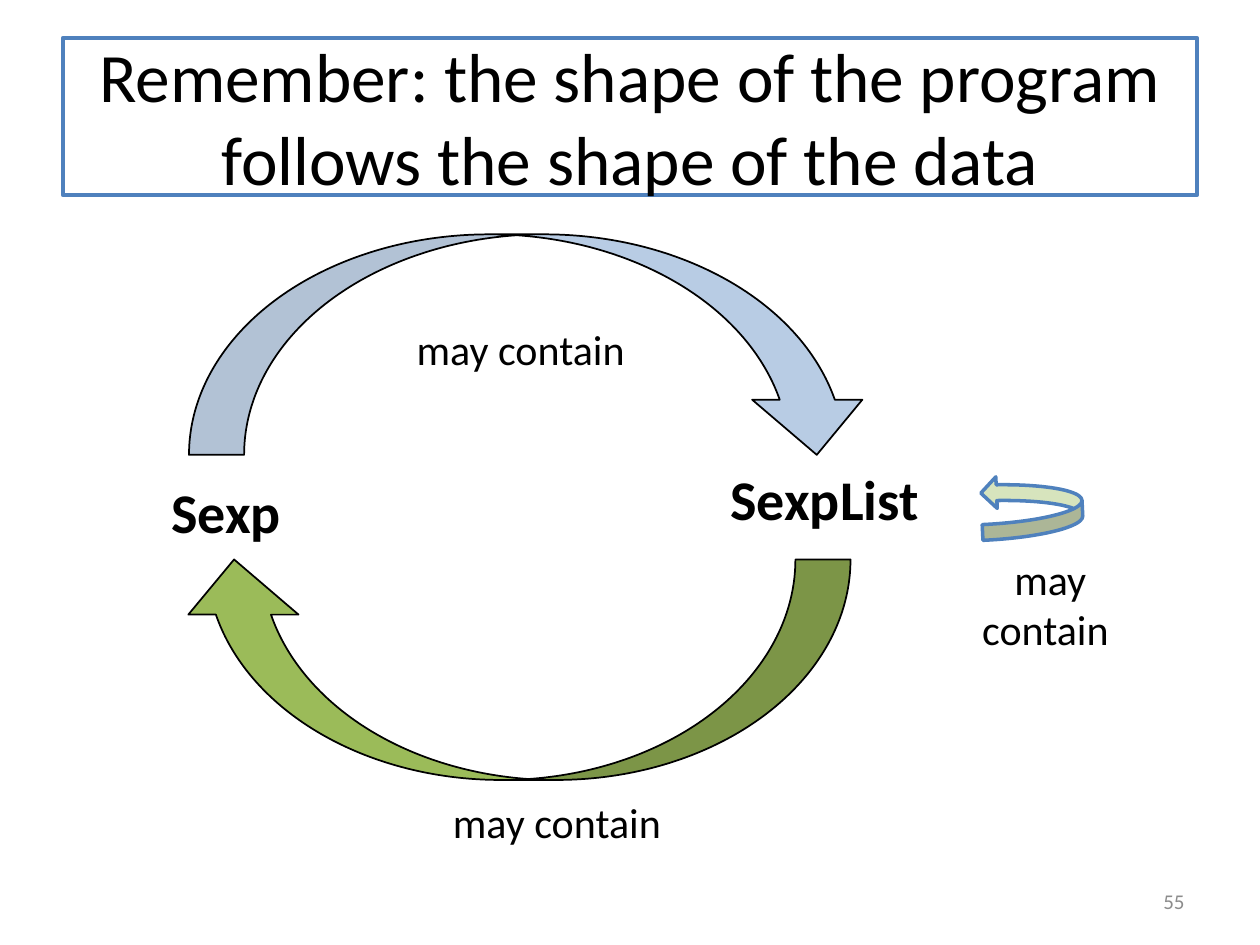
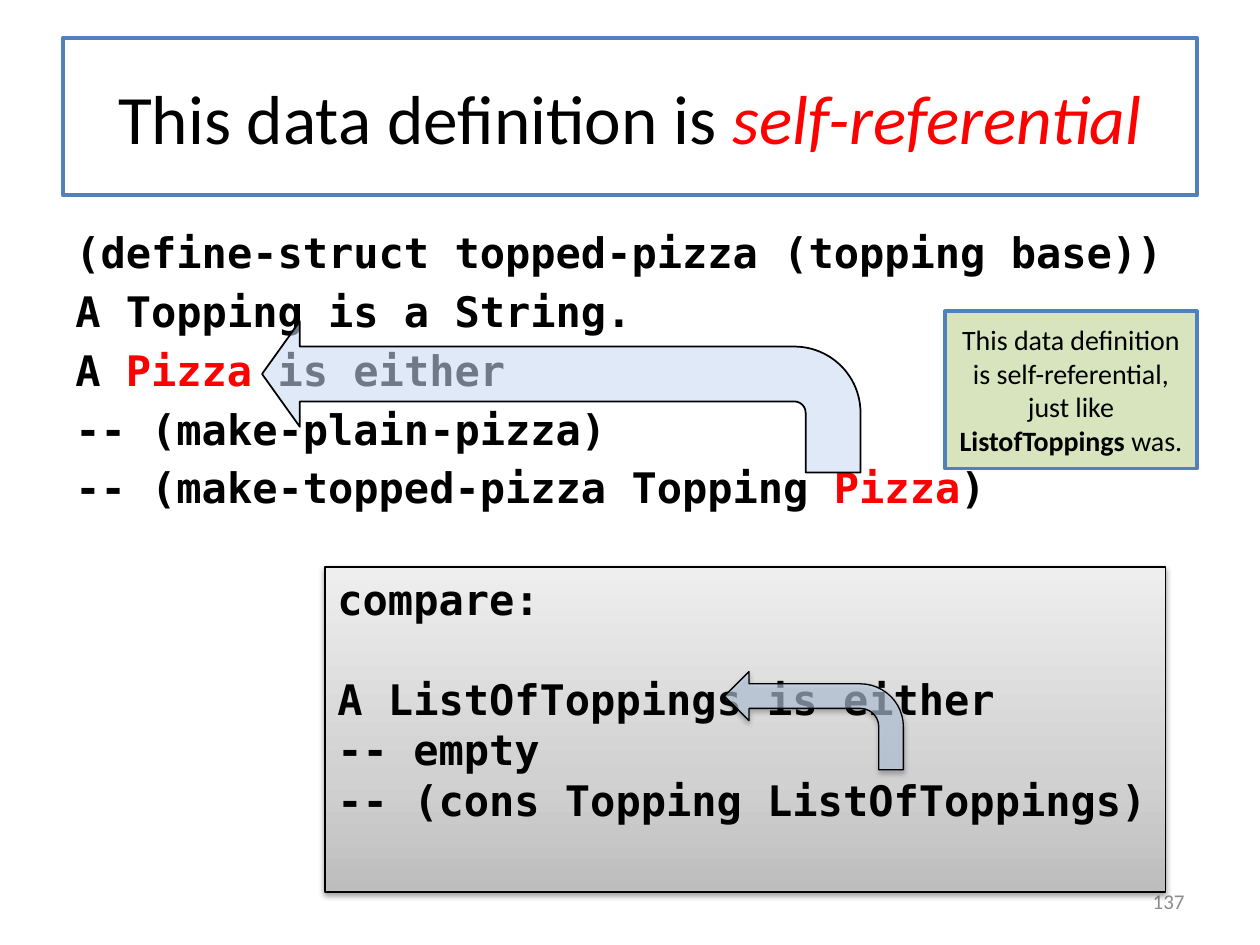
from copy import deepcopy
from lxml.etree import SubElement
from pptx import Presentation
from pptx.dml.color import RGBColor
from pptx.enum.shapes import MSO_SHAPE
from pptx.enum.text import MSO_ANCHOR, PP_ALIGN
from pptx.oxml.ns import qn
from pptx.util import Inches, Pt

COLORS = {
    "black": "000000", "white": "FFFFFF", "blue": "4F81BD", "green": "9BBB59",
    "pale_green": "D7E4BD", "pale_blue": "C6D9F1", "red": "FF0000", "gray": "8C8C8C",
    "gray_dark": "BDBDBD", "gray_mid": "D1D1D1", "gray_light": "EEEEEE",
}
SANS, MONO = "Calibri", "DejaVu Sans Mono"


def write(shape, text, size=24, font=SANS, color="black", bold=False, align=PP_ALIGN.CENTER,
          anchor=MSO_ANCHOR.TOP, gaps=(), mark="", mark_color=None, mark_bold=False, mark_italic=False):
    frame = shape.text_frame
    frame.word_wrap = True
    frame.vertical_anchor = anchor
    for index, line in enumerate(text.split("\n")):
        para = frame.add_paragraph() if index else frame.paragraphs[0]
        para.alignment = align
        if index:
            para.space_before = Pt(gaps[index - 1] if gaps else 0)
        for part in line.partition(mark) if mark else [line]:
            if not part:
                continue
            marked = part == mark
            span = para.add_run()
            span.text = part
            span.font.name = font
            span.font.size = Pt(size)
            span.font.bold = bold or (marked and mark_bold)
            span.font.italic = marked and mark_italic
            shade = mark_color if marked and mark_color else color
            span.font.color.rgb = RGBColor.from_string(COLORS[shade])


def draw(page, kind, place, fill, line="black", weight=1, opacity=100, flip=False,
         turn=0, adjust=(), shadow=False):
    shape = page.shapes.add_shape(kind, *map(Inches, place))
    shape.shadow.inherit = False
    shape.rotation = turn
    for index, value in enumerate(adjust):
        shape.adjustments[index] = value
    properties = shape._element.spPr
    if isinstance(fill, str):
        shape.fill.solid()
        shape.fill.fore_color.rgb = RGBColor.from_string(COLORS[fill])
        if opacity < 100:
            tint = properties.find(qn("a:solidFill"))[0]
            SubElement(tint, qn("a:alpha"), val=str(opacity * 1000))
    else:
        shape.fill.gradient()
        shape.fill.gradient_angle = 90
        stop_list = properties.find(".//" + qn("a:gsLst"))
        stop_list.append(deepcopy(stop_list[0]))
        for stop, (position, name) in zip(shape.fill.gradient_stops, fill):
            stop.position = position
            stop.color.rgb = RGBColor.from_string(COLORS[name])
    shape.line.color.rgb = RGBColor.from_string(COLORS[line])
    shape.line.width = Pt(weight)
    if flip:
        properties.find(qn("a:xfrm")).set("flipH", "1")
    if shadow:
        outer = SubElement(properties.find(qn("a:effectLst")), qn("a:outerShdw"),
                           blurRad=str(Pt(3.1)), dist=str(Pt(1.6)), dir="5400000", rotWithShape="0")
        tint = SubElement(outer, qn("a:srgbClr"), val=COLORS["black"])
        SubElement(tint, qn("a:alpha"), val="38000")
    return shape


deck = Presentation()
deck.slide_width, deck.slide_height = Inches(10), Inches(7.5)
pages = []
for title, number, emphasis in [
    ("Remember: the shape of the program follows the shape of the data", "55", ""),
    ("This data definition is self-referential", "137", "self-referential"),
]:
    page = deck.slides.add_slide(deck.slide_layouts[6])
    title_box = draw(page, MSO_SHAPE.RECTANGLE, (0.5, 0.3, 9, 1.25), "white", "blue", 2.25)
    write(title_box, title, size=39.6, anchor=MSO_ANCHOR.MIDDLE,
          mark=emphasis, mark_color="red", mark_italic=True)
    number_box = page.shapes.add_textbox(Inches(7.17), Inches(6.95), Inches(2.33), Inches(0.4))
    write(number_box, number, size=12, color="gray", align=PP_ALIGN.RIGHT, anchor=MSO_ANCHOR.MIDDLE)
    pages.append(page)
cycle_page, pizza_page = pages

draw(cycle_page, MSO_SHAPE.CURVED_DOWN_ARROW, (1.5, 1.86, 5.42, 1.75), "blue", opacity=40)
draw(cycle_page, MSO_SHAPE.CURVED_DOWN_ARROW, (1.42, 4.44, 5.33, 1.75), "green", turn=180)
draw(cycle_page, MSO_SHAPE.CURVED_UP_ARROW, (7.94, 3.62, 0.5, 0.8), "pale_green", "blue", 2, turn=267.4)
for text, place, size in [
    ("may contain ", (2.67, 2.52, 3, 0.5), 24),
    ("may contain", (2.92, 6.27, 3, 0.5), 24),
    ("may contain ", (7.46, 4.34, 1.75, 0.91), 24),
    ("Sexp", (1.17, 3.74, 1.25, 0.64), 32),
    ("SexpList", (5.67, 3.64, 1.75, 0.64), 32),
]:
    label = cycle_page.shapes.add_textbox(*map(Inches, place))
    write(label, text, size=size, bold=size == 32)

definition = pizza_page.shapes.add_textbox(Inches(0.5), Inches(1.75), Inches(9), Inches(4.95))
write(definition, """(define-struct topped-pizza (topping base))
A Topping is a String.
A Pizza is either
-- (make-plain-pizza)
-- (make-topped-pizza Topping Pizza)""", font=MONO, bold=True, align=PP_ALIGN.LEFT,
      gaps=[4.8] * 4, mark="Pizza", mark_color="red")
draw(pizza_page, MSO_SHAPE.BENT_ARROW, (2.08, 2.55, 4.75, 1.2), "pale_blue", opacity=56,
     flip=True, adjust=(0.363, 0.349, 0.25, 0.438))

comparison = draw(pizza_page, MSO_SHAPE.RECTANGLE, (2.58, 4.5, 6.67, 2.58),
                  [(0, "gray_dark"), (0.35, "gray_mid"), (1, "gray_light")], weight=0.75, shadow=True)
write(comparison, """compare:
A ListOfToppings is either
-- empty
-- (cons Topping ListOfToppings)""", font=MONO, bold=True, align=PP_ALIGN.LEFT, gaps=[28.5, 0, 0])
draw(pizza_page, MSO_SHAPE.BENT_ARROW, (5.75, 5.33, 1.42, 0.78), "pale_blue", weight=0.75,
     opacity=59, flip=True, adjust=(0.25, 0.25, 0.25, 0.438), shadow=True)

remark = draw(pizza_page, MSO_SHAPE.RECTANGLE, (7.5, 2.47, 2, 1.25), "pale_green", "blue", 2)
write(remark, "This data definition is self-referential, just like ListofToppings was.",
      size=16, anchor=MSO_ANCHOR.MIDDLE, mark="ListofToppings", mark_bold=True)

deck.save("out.pptx")
